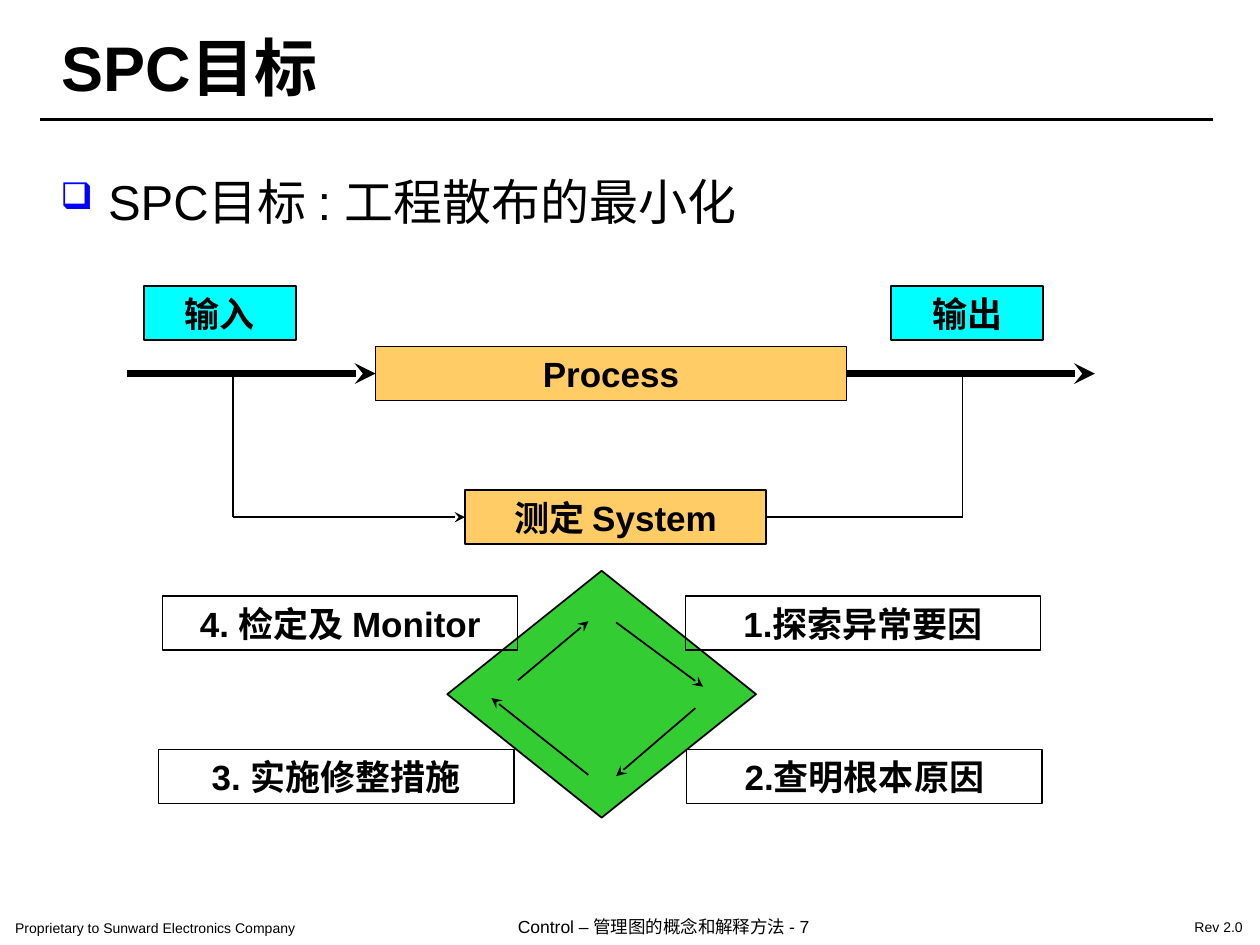
from dataclasses import dataclass
from lxml.etree import SubElement
from pptx import Presentation
from pptx.dml.color import RGBColor
from pptx.enum.shapes import MSO_CONNECTOR, MSO_SHAPE
from pptx.enum.text import MSO_ANCHOR, MSO_AUTO_SIZE, PP_ALIGN
from pptx.oxml.ns import qn
from pptx.util import Inches, Pt

COLORS = {"ink": "000000", "process": "FFCC66", "flow": "00FFFF",
          "cycle": "33CC33", "bullet": "0000FF"}
FONT = "Arial"
COLUMNS, ROWS = 100, 75
CELL = Inches(10) / COLUMNS
LABEL_ROWS = 4.3


@dataclass
class Box:
    left: float
    top: float
    width: float
    height: float

    def area(self, column, row, width, height):
        return Box(self.left + column, self.top + row, width, height)

    def point(self, column, row):
        return self.left + column, self.top + row

    def lengths(self):
        return [cells(v) for v in (self.left, self.top, self.width, self.height)]


def cells(count):
    return round(count * CELL)


def color(name):
    return RGBColor.from_string(COLORS[name])


def write(shape, text, size, bold=False, align=PP_ALIGN.LEFT):
    frame = shape.text_frame
    frame.text = text
    paragraph = frame.paragraphs[0]
    paragraph.alignment = align
    for run in paragraph.runs:
        run.font.name = FONT
        run.font.size = Pt(size)
        run.font.bold = bold
        run.font.color.rgb = color("ink")
    return paragraph


def add_block(slide, box, preset, fill=None, line=1, text=None):
    shape = slide.shapes.add_shape(preset, *box.lengths())
    shape.shadow.inherit = False
    if fill:
        shape.fill.solid()
        shape.fill.fore_color.rgb = color(fill)
    else:
        shape.fill.background()
    shape.line.color.rgb = color("ink")
    shape.line.width = Pt(line)
    if text:
        shape.text_frame.vertical_anchor = MSO_ANCHOR.MIDDLE
        write(shape, text, 20, True, PP_ALIGN.CENTER)
    return shape


def add_line(slide, start, end, width=1, arrow=False):
    ends = [cells(value) for value in (*start, *end)]
    connector = slide.shapes.add_connector(MSO_CONNECTOR.STRAIGHT, *ends)
    connector.line.color.rgb = color("ink")
    connector.line.width = Pt(width)
    properties = connector._element.spPr
    if arrow:
        SubElement(properties.find(qn("a:ln")), qn("a:tailEnd"), type="stealth")
    SubElement(properties, qn("a:effectLst"))
    return connector


def place_title(slide, box):
    title = slide.shapes.title
    title.left, title.top, title.width, title.height = box.area(0.7, 0, 40, 7.3).lengths()
    title.text_frame.auto_size = MSO_AUTO_SIZE.NONE
    title.text_frame.vertical_anchor = MSO_ANCHOR.BOTTOM
    write(title, "SPC目标", 36, True)
    add_line(slide, box.point(0, box.height), box.point(box.width, box.height), 1.5)


def place_goal(slide, box):
    goal = slide.shapes.add_textbox(*box.lengths())
    goal.text_frame.word_wrap = True
    paragraph = write(goal, "SPC目标 : 工程散布的最小化", 28)
    properties = paragraph._p.get_or_add_pPr()
    indent = cells(3.8)
    properties.set("marL", str(indent))
    properties.set("indent", str(-indent))
    bullet_color = SubElement(properties, qn("a:buClr"))
    SubElement(bullet_color, qn("a:srgbClr"), val=COLORS["bullet"])
    SubElement(properties, qn("a:buSzPct"), val="75000")
    SubElement(properties, qn("a:buChar"), char="❑")


def place_flow(slide, box):
    arrow_length = 19.7
    process_box = box.area(arrow_length, 4.8, box.width - 2 * arrow_length, LABEL_ROWS)
    measure_box = box.area(26.8, box.height - LABEL_ROWS, 23.9, LABEL_ROWS)
    process = add_block(slide, process_box, MSO_SHAPE.RECTANGLE, "process", 1, "Process")
    measure = add_block(slide, measure_box, MSO_SHAPE.RECTANGLE, "process", 1, "测定 System")
    for column, text in ((1.3, "输入"), (60.6, "输出")):
        add_block(slide, box.area(column, 0, 12.1, LABEL_ROWS),
                  MSO_SHAPE.RECTANGLE, "flow", 1, text)

    upper = 4.8 + LABEL_ROWS / 2
    lower = box.height - LABEL_ROWS / 2
    input_column, output_column = 8.4, 66.3
    process_right = box.width - arrow_length
    input_arrow = add_line(slide, box.point(0, upper), box.point(arrow_length, upper), 4, True)
    input_arrow.end_connect(process, 1)
    output_arrow = add_line(slide, box.point(process_right, upper),
                            box.point(box.width, upper), 4, True)
    output_arrow.begin_connect(process, 3)
    for column in (input_column, output_column):
        add_line(slide, box.point(column, upper), box.point(column, lower))
    to_measure = add_line(slide, box.point(input_column, lower),
                          box.point(26.8, lower), 1, True)
    to_measure.end_connect(measure, 1)
    from_measure = add_line(slide, box.point(50.7, lower), box.point(output_column, lower))
    from_measure.begin_connect(measure, 3)


def place_cycle(slide, box):
    add_block(slide, box.area(22.9, 0, 24.5, box.height), MSO_SHAPE.DIAMOND, "cycle")
    steps = ((41.8, 2, "1.探索异常要因"), (0.3, 2, "4. 检定及 Monitor"),
             (0, 14.2, "3. 实施修整措施"), (41.9, 14.2, "2.查明根本原因"))
    for column, row, text in steps:
        add_block(slide, box.area(column, row, 28.2, LABEL_ROWS),
                  MSO_SHAPE.RECTANGLE, None, 0.75, text)
    turns = (((36.3, 4.1), (43.2, 9.2)), ((42.6, 10.9), (36.3, 16.3)),
             ((34.1, 16.2), (26.4, 10.1)), ((28.5, 8.7), (34.1, 4)))
    for start, end in turns:
        add_line(slide, box.point(*start), box.point(*end), 1, True)


def place_footer(slide, box):
    notes = ((0, 0.3, 32.1, 8, "Proprietary to Sunward Electronics Company"),
             (39.9, 0, 31.9, 10, "Control – 管理图的概念和解释方法 - 7"),
             (93.6, 0.2, 6.3, 8, "Rev 2.0"))
    for column, row, width, size, text in notes:
        note = slide.shapes.add_textbox(*box.area(column, row, width, 2.5).lengths())
        frame = note.text_frame
        frame.word_wrap = False
        frame.margin_left = frame.margin_right = cells(1.2)
        frame.margin_top = frame.margin_bottom = cells(0.6)
        write(note, text, size)


def main():
    presentation = Presentation()
    presentation.slide_width = cells(COLUMNS)
    presentation.slide_height = cells(ROWS)
    slide = presentation.slides.add_slide(presentation.slide_layouts[5])
    place_footer(slide, Box(0, 72.1, COLUMNS, 2.9))
    place_title(slide, Box(3.2, 1.5, 93.1, 8))
    place_flow(slide, Box(10.1, 22.7, 76.8, 20.5))
    place_cycle(slide, Box(12.6, 45.3, 70.1, 19.6))
    place_goal(slide, Box(3.8, 13.1, 90.5, 5.8))
    presentation.save("out.pptx")


if __name__ == "__main__":
    main()
